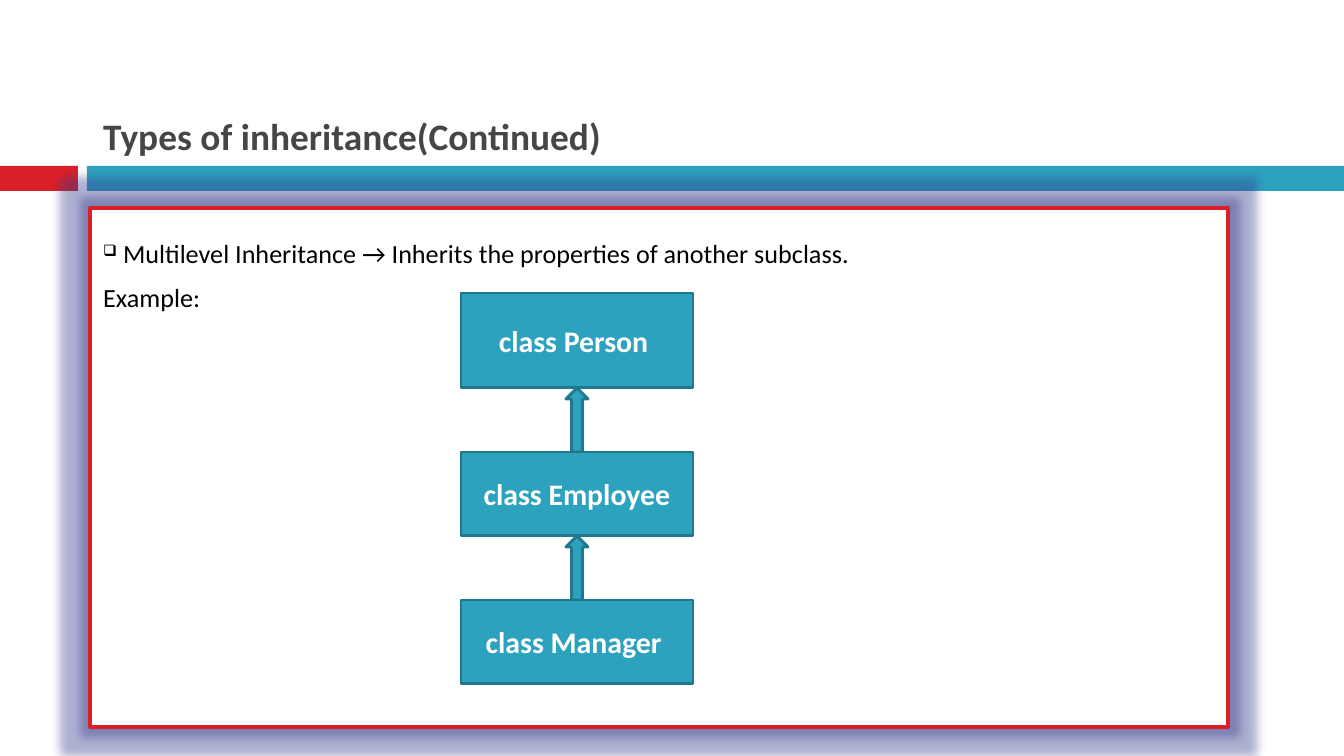
from dataclasses import dataclass

from lxml import etree
from pptx import Presentation
from pptx.dml.color import RGBColor
from pptx.enum.shapes import MSO_SHAPE
from pptx.enum.text import MSO_ANCHOR, PP_ALIGN
from pptx.oxml.ns import qn
from pptx.util import Pt

RECTANGLE, UP_ARROW = MSO_SHAPE.RECTANGLE, MSO_SHAPE.UP_ARROW
TOP, MIDDLE, BOTTOM = MSO_ANCHOR.TOP, MSO_ANCHOR.MIDDLE, MSO_ANCHOR.BOTTOM
LEFT, CENTER, JUSTIFY = PP_ALIGN.LEFT, PP_ALIGN.CENTER, PP_ALIGN.JUSTIFY
SCALE = 914400 / 134.4


@dataclass(frozen=True)
class Theme:
    font: str = "Calibri"
    heading: str = "464646"
    ink: str = "000000"
    white: str = "FFFFFF"
    red: str = "DA1F28"
    teal: str = "2DA2BF"
    teal_dark: str = "21788D"
    glow: str = "343B8A"
    title_size: int = 20
    body_size: int = 14
    class_size: int = 16


def px(length):
    return round(length * SCALE)


def write(paragraph, text, *, font, size, color, bold=False, align=LEFT, before=0):
    paragraph.alignment = align
    paragraph.space_before = Pt(before)
    run = paragraph.add_run()
    run.text = text
    run.font.name = font
    run.font.size = Pt(size)
    run.font.bold = bold
    run.font.color.rgb = RGBColor.from_string(color)


class InheritanceSlide:
    def __init__(self, slide, theme):
        self.slide = slide
        self.theme = theme

    def block(self, left, top, width, height, fill, line=None, weight=1.5, preset=RECTANGLE):
        block = self.slide.shapes.add_shape(preset, px(left), px(top), px(width), px(height))
        block.shadow.inherit = False
        block.fill.solid()
        block.fill.fore_color.rgb = RGBColor.from_string(fill)
        if line:
            block.line.color.rgb = RGBColor.from_string(line)
            block.line.width = Pt(weight)
        else:
            block.line.fill.background()
        return block

    def title(self, left, top, width, height, text):
        frame = self.slide.shapes.add_textbox(px(left), px(top), px(width), px(height)).text_frame
        frame.word_wrap = True
        frame.vertical_anchor = BOTTOM
        write(frame.paragraphs[0], text, font=self.theme.font, size=self.theme.title_size,
              color=self.theme.heading, bold=True)

    def panel(self, left, top, width, height, definition, example):
        theme = self.theme
        panel = self.block(left, top, width, height, theme.white, theme.red, 2)
        effects = panel._element.spPr.find(qn("a:effectLst"))
        glow = etree.SubElement(effects, qn("a:glow"), rad=str(px(19)))
        color = etree.SubElement(glow, qn("a:srgbClr"), val=theme.glow)
        etree.SubElement(color, qn("a:alpha"), val="40000")
        frame = panel.text_frame
        frame.word_wrap = True
        frame.vertical_anchor = TOP
        frame.margin_top = px(29)
        first = frame.paragraphs[0]
        style = dict(font=theme.font, size=theme.body_size, color=theme.ink, align=JUSTIFY)
        write(first, definition, **style)
        write(frame.add_paragraph(), example, before=7, **style)
        self.bullet(first)

    def bullet(self, paragraph):
        properties = paragraph._p.get_or_add_pPr()
        color = etree.SubElement(properties, qn("a:buClr"))
        etree.SubElement(color, qn("a:srgbClr"), val=self.theme.ink)
        etree.SubElement(properties, qn("a:buSzPct"), val="60000")
        etree.SubElement(properties, qn("a:buChar"), char="❑")

    def class_box(self, left, top, width, height, text):
        theme = self.theme
        frame = self.block(left, top, width, height, theme.teal, theme.teal_dark).text_frame
        frame.word_wrap = True
        frame.vertical_anchor = MIDDLE
        write(frame.paragraphs[0], text, font=theme.font, size=theme.class_size,
              color=theme.white, bold=True, align=CENTER)

    def arrow(self, center, top, width, height):
        self.block(center - width // 2, top, width, height, self.theme.teal,
                   self.theme.teal_dark, preset=UP_ARROW)

    def class_chain(self, left, top, width, gap, classes):
        for level, (text, height) in enumerate(classes):
            if level:
                self.arrow(left + width // 2, top - gap, 22, gap)
            self.class_box(left, top, width, height, text)
            top += height + gap


def main():
    presentation = Presentation()
    presentation.slide_width, presentation.slide_height = px(1344), px(756)
    theme = Theme()
    page = InheritanceSlide(
        presentation.slides.add_slide(presentation.slide_layouts[6]), theme)
    page.block(0, 166, 78, 25, theme.red)
    page.block(87, 166, 1257, 25, theme.teal)
    page.title(90, 17, 1254, 148, "Types of inheritance(Continued)")
    page.panel(90, 208, 1138, 519,
               " Multilevel Inheritance → Inherits the properties of another subclass.",
               "Example: ")
    page.class_chain(461, 293, 232, 64, [
        ("class Person ", 95), ("class Employee", 84), ("class Manager ", 84)])
    presentation.save("out.pptx")


if __name__ == "__main__":
    main()
